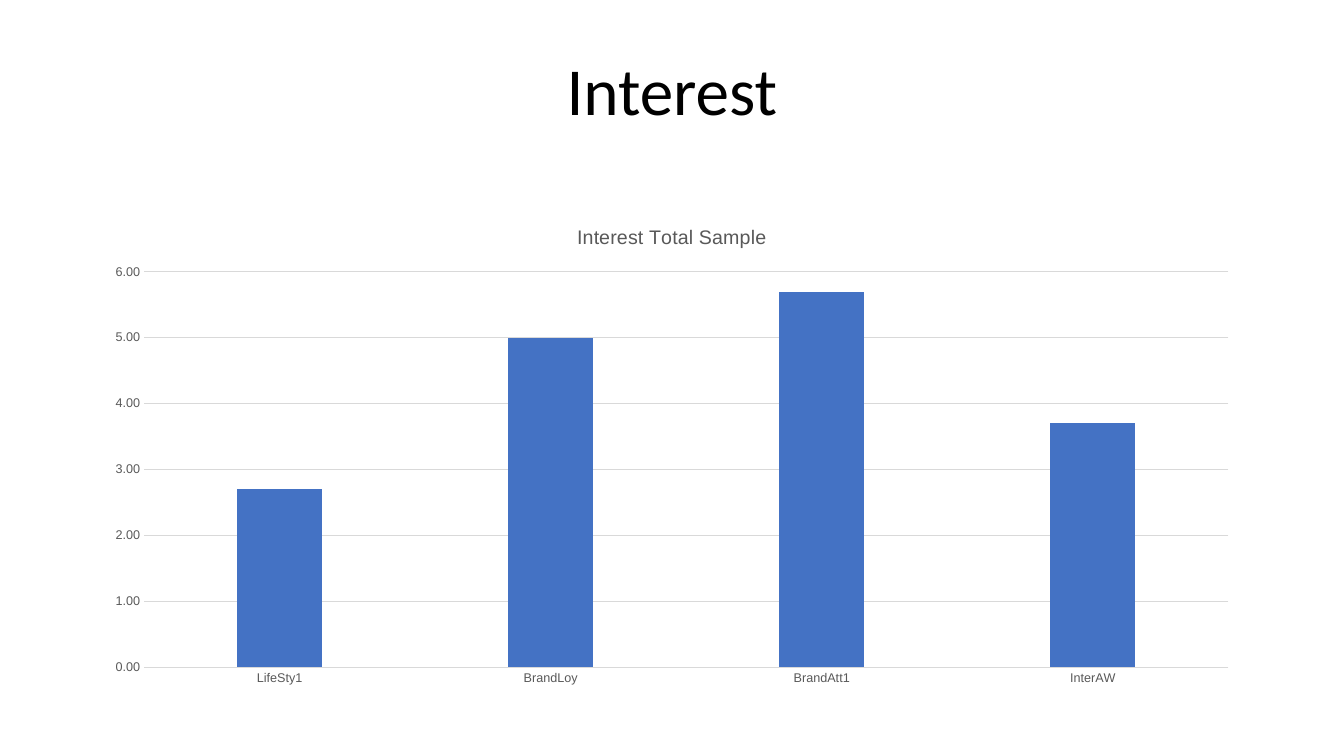
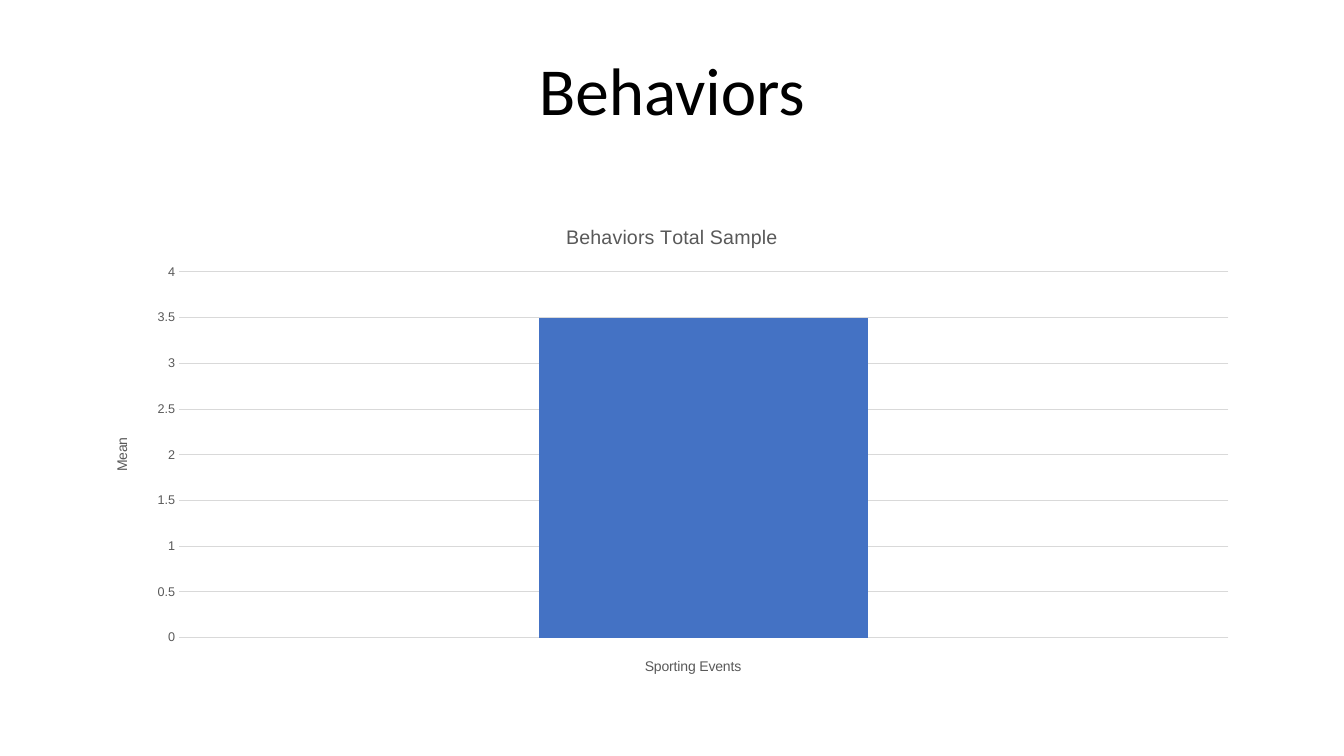
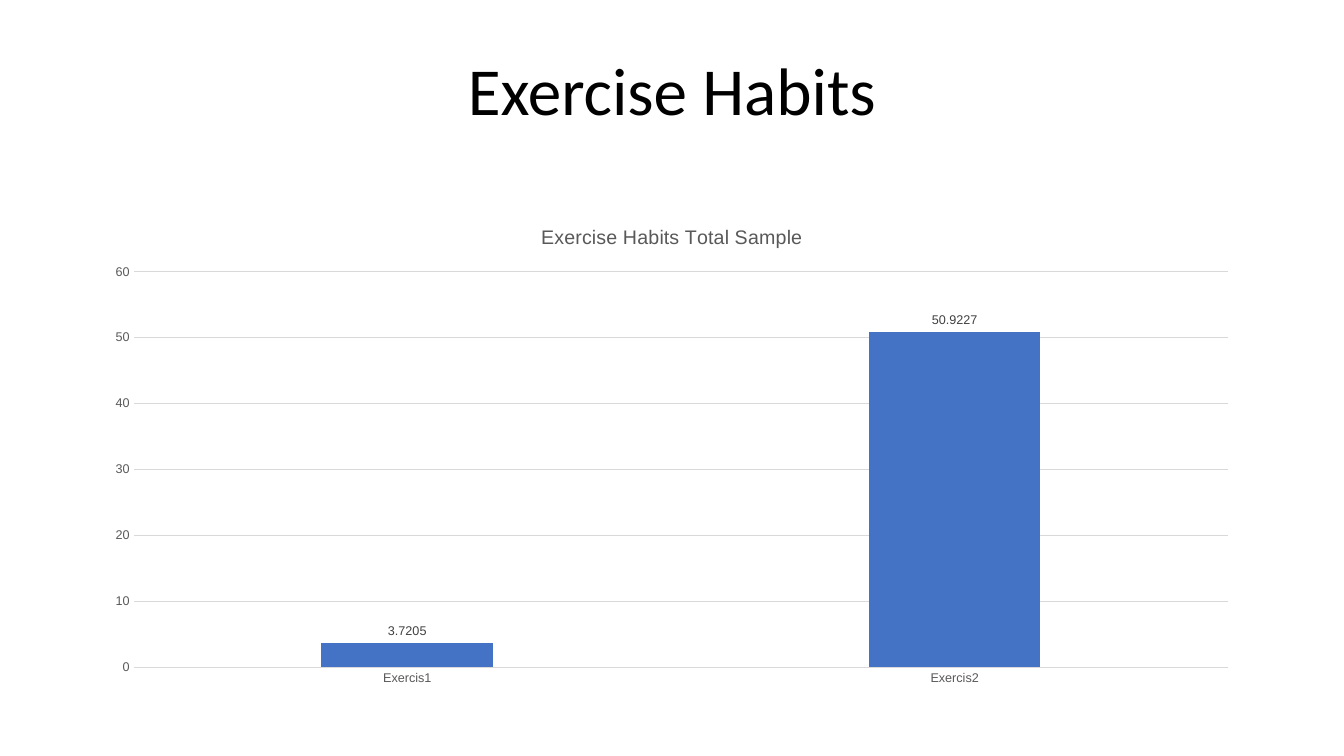
from dataclasses import dataclass

from pptx import Presentation
from pptx.chart.data import CategoryChartData as ChartData
from pptx.dml.color import RGBColor as Color
from pptx.enum.chart import XL_CHART_TYPE as ChartType
from pptx.enum.chart import XL_LABEL_POSITION as LabelPosition
from pptx.enum.chart import XL_TICK_MARK as TickMark
from pptx.enum.text import MSO_ANCHOR as Anchor
from pptx.enum.text import PP_ALIGN as Align
from pptx.util import Pt


@dataclass(frozen=True)
class Theme:
    title_font: str = "Calibri"
    chart_font: str = "Arial"
    title_color: Color = Color.from_string("000000")
    muted: Color = Color.from_string("595959")
    label_color: Color = Color.from_string("404040")
    grid: Color = Color.from_string("D9D9D9")
    bar: Color = Color.from_string("4472C4")
    title_size: int = 48
    chart_title_size: int = 14
    axis_title_size: int = 10
    tick_size: int = 9


THEME = Theme()

# Boxes in points: left, top, width, height
PAGE_SIZE = (960, 540)
TITLE_BOX = (66, 23, 828, 73.5)
CHART_BOX = (66, 147, 828, 350)

PAGES = [
    dict(title="Interest", values={"LifeSty1": 2.7, "BrandLoy": 5, "BrandAtt1": 5.7, "InterAW": 3.7},
         top=6, step=1, number_format="0.00"),
    dict(title="Behaviors", values={"1": 3.5}, top=4, step=0.5,
         axis_titles=("Sporting Events", "Mean")),
    dict(title="Exercise Habits", values={"Exercis1": 3.7205, "Exercis2": 50.9227},
         top=60, step=10, labels=True),
]


def style_font(font, size, color, name=THEME.chart_font):
    font.name, font.size, font.bold = name, Pt(size), False
    font.color.rgb = color


def style_line(line):
    line.color.rgb = THEME.grid
    line.width = Pt(0.75)


def add_title(page, box, text):
    frame = page.shapes.add_textbox(*map(Pt, box)).text_frame
    frame.word_wrap = True
    frame.vertical_anchor = Anchor.BOTTOM
    frame.text = text
    para = frame.paragraphs[0]
    para.alignment = Align.CENTER
    para.line_spacing = 0.9
    style_font(para.runs[0].font, THEME.title_size, THEME.title_color, THEME.title_font)


def set_chart_text(owner, text, size):
    """Title a chart or an axis."""
    owner.has_title = True
    title = owner.chart_title if hasattr(owner, "chart_title") else owner.axis_title
    title.text_frame.text = text
    style_font(title.text_frame.paragraphs[0].runs[0].font, size, THEME.muted)


def add_column_chart(page, box, heading, values, top, step,
                     number_format="General", axis_titles=None, labels=False):
    data = ChartData()
    data.categories = list(values)
    data.add_series("Series 1", list(values.values()))
    chart = page.shapes.add_chart(ChartType.COLUMN_CLUSTERED, *map(Pt, box), data).chart
    chart.has_legend = False
    style_font(chart.font, THEME.axis_title_size, THEME.title_color)
    set_chart_text(chart, heading, THEME.chart_title_size)

    # Axes
    category, value = chart.category_axis, chart.value_axis
    for axis in (category, value):
        axis.major_tick_mark = axis.minor_tick_mark = TickMark.NONE
        style_font(axis.tick_labels.font, THEME.tick_size, THEME.muted)
    style_line(category.format.line)
    value.format.line.fill.background()
    style_line(value.major_gridlines.format.line)
    value.minimum_scale, value.maximum_scale, value.major_unit = 0, top, step
    value.tick_labels.number_format = number_format
    value.tick_labels.number_format_is_linked = False
    if axis_titles:
        category.visible = False
        for axis, text in zip((category, value), axis_titles):
            set_chart_text(axis, text, THEME.axis_title_size)

    # Columns
    plot = chart.plots[0]
    plot.vary_by_categories = False
    plot.gap_width, plot.overlap = 219, -27
    series = plot.series[0]
    series.format.fill.solid()
    series.format.fill.fore_color.rgb = THEME.bar
    if labels:
        series.data_labels.show_value = True
        series.data_labels.position = LabelPosition.OUTSIDE_END
        style_font(series.data_labels.font, THEME.tick_size, THEME.label_color)


def add_chart_page(deck, title, **chart):
    page = deck.slides.add_slide(deck.slide_layouts[6])
    add_title(page, TITLE_BOX, title)
    add_column_chart(page, CHART_BOX, f"{title} Total Sample", **chart)


def main():
    deck = Presentation()
    deck.slide_width, deck.slide_height = map(Pt, PAGE_SIZE)
    for content in PAGES:
        add_chart_page(deck, **content)
    deck.save("out.pptx")


if __name__ == "__main__":
    main()
